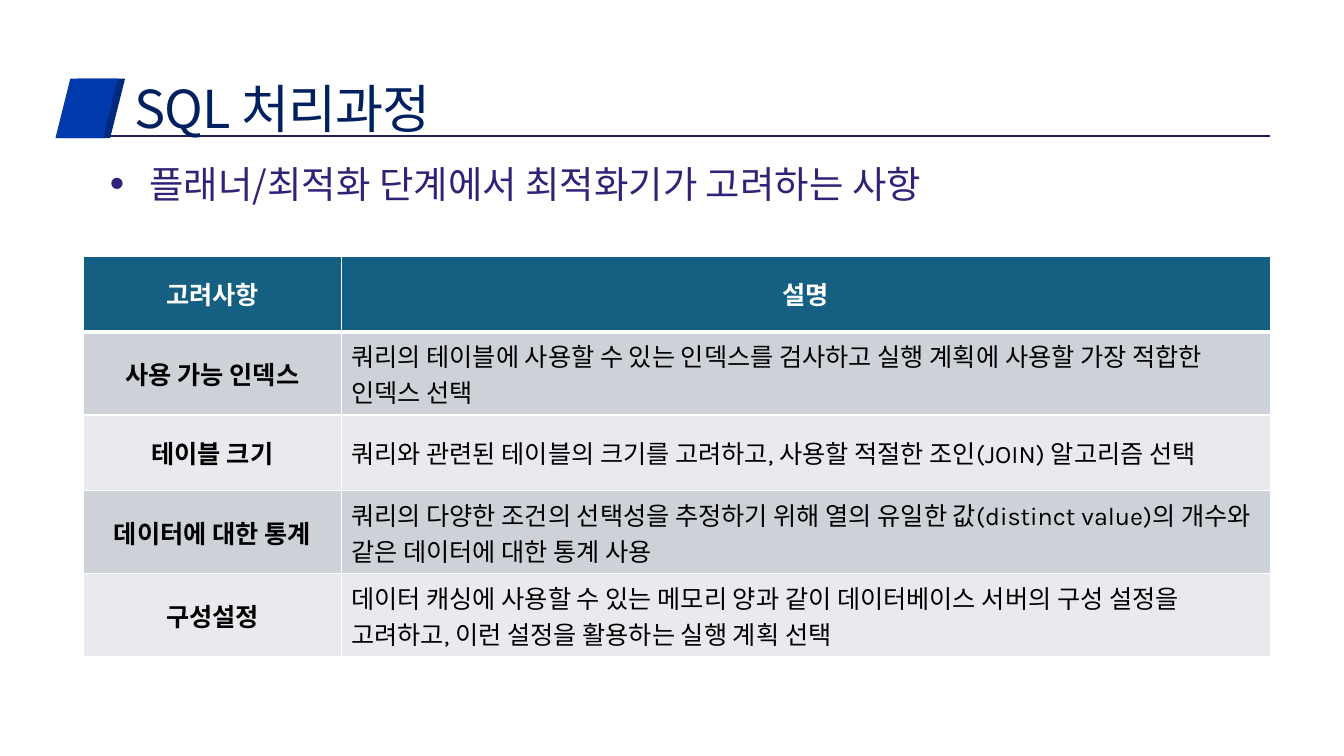
from dataclasses import dataclass

from lxml import etree
from pptx import Presentation
from pptx.dml.color import RGBColor
from pptx.enum.shapes import MSO_CONNECTOR, MSO_SHAPE
from pptx.enum.text import MSO_ANCHOR, MSO_AUTO_SIZE, PP_ALIGN
from pptx.oxml.ns import qn
from pptx.util import Inches, Pt

LEFT, CENTER = PP_ALIGN.LEFT, PP_ALIGN.CENTER
TOP, MIDDLE = MSO_ANCHOR.TOP, MSO_ANCHOR.MIDDLE
STRAIGHT, PARALLELOGRAM = MSO_CONNECTOR.STRAIGHT, MSO_SHAPE.PARALLELOGRAM
NO_AUTOFIT = MSO_AUTO_SIZE.NONE


@dataclass(frozen=True)
class Theme:
    korean_font: str = "Noto Sans CJK KR"
    table_font: str = "Karla"
    title_size: float = 37.3
    bullet_size: float = 26.7
    table_size: float = 18
    title: str = "002060"
    bullet: str = "2F2378"
    rule: str = "241E59"
    slants: tuple = ("002A7E", "0039AC")
    header: str = "156082"
    bands: tuple = ("CCD2D8", "E8EAED")
    white: str = "FFFFFF"
    black: str = "000000"


@dataclass(frozen=True)
class Box:
    """A region of the slide, in inches."""
    left: float
    top: float
    width: float
    height: float

    def emu(self):
        return [Inches(value) for value in (self.left, self.top, self.width, self.height)]


THEME = Theme()
SLIDE_WIDTH, SLIDE_HEIGHT = 13.33, 7.5
RIGHT_EDGE = 12.6
HEADING_BOX = Box(0.55, 0.77, RIGHT_EDGE - 0.55, 0.59)
BULLET_BOX = Box(1.01, 1.56, RIGHT_EDGE - 1.01, 0.78)
TABLE_BOX = Box(0.83, 2.54, RIGHT_EDGE - 0.83, 3.76)
LABEL_SHARE = 0.217

ROWS = [
    ("고려사항", "설명"),
    ("사용 가능 인덱스", "쿼리의 테이블에 사용할 수 있는 인덱스를 검사하고 실행 계획에 사용할 가장 적합한 인덱스 선택"),
    ("테이블 크기", "쿼리와 관련된 테이블의 크기를 고려하고, 사용할 적절한 조인(JOIN) 알고리즘 선택"),
    ("데이터에 대한 통계", "쿼리의 다양한 조건의 선택성을 추정하기 위해 열의 유일한 값(distinct value)의 개수와 같은 데이터에 대한 통계 사용"),
    ("구성설정", "데이터 캐싱에 사용할 수 있는 메모리 양과 같이 데이터베이스 서버의 구성 설정을 고려하고, 이런 설정을 활용하는 실행 계획 선택"),
]


def set_all(target, values):
    for name, value in values.items():
        setattr(target, name, value)


def add_child(parent, tag, **attributes):
    return etree.SubElement(parent, qn(tag), attributes)


def add_run(paragraph, text, size, color, latin=THEME.korean_font, bold=False):
    run = paragraph.add_run()
    run.text = text
    set_all(run.font, {"size": Pt(size), "name": latin, "bold": bold})
    run.font.color.rgb = RGBColor.from_string(color)
    properties = run._r.get_or_add_rPr()
    add_child(properties, "a:ea", typeface=THEME.korean_font)
    return properties


def prepare_placeholder(placeholder, box, anchor, top_inset):
    """Move a placeholder into its box and return its first paragraph."""
    left, top, width, height = box.emu()
    set_all(placeholder, {"left": left, "top": top, "width": width, "height": height})
    frame = placeholder.text_frame
    set_all(frame, {
        "word_wrap": True, "auto_size": NO_AUTOFIT, "vertical_anchor": anchor,
        "margin_left": Inches(0.08), "margin_right": Inches(0.08),
        "margin_top": Inches(top_inset), "margin_bottom": 0,
    })
    paragraph = frame.paragraphs[0]
    set_all(paragraph, {"alignment": LEFT, "space_before": Pt(0)})
    return paragraph


def add_heading(slide, box, text):
    """Title with two slanted tiles on its left and a rule below, all behind the text."""
    title = slide.shapes.title
    base = box.top + box.height - 0.01
    rule = slide.shapes.add_connector(
        STRAIGHT, Inches(box.left + 0.23), Inches(base),
        Inches(box.left + box.width), Inches(base))
    rule.line.width = Pt(1.5)
    rule.line.color.rgb = RGBColor.from_string(THEME.rule)
    add_child(rule._element.spPr, "a:effectLst")
    title._element.addprevious(rule._element)

    for color, shift in zip(THEME.slants, (0.07, 0)):
        tile_box = Box(box.left + shift, box.top + 0.01, 0.62, box.height)
        tile = slide.shapes.add_shape(PARALLELOGRAM, *tile_box.emu())
        tile.shadow.inherit = False
        tile.fill.solid()
        tile.fill.fore_color.rgb = RGBColor.from_string(color)
        tile.line.fill.background()
        title._element.addprevious(tile._element)

    text_box = Box(box.left + 0.7, box.top, box.width - 0.7, box.height)
    paragraph = prepare_placeholder(title, text_box, MIDDLE, 0.08)
    paragraph.line_spacing = 0.9
    add_run(paragraph, text, THEME.title_size, THEME.title).set("spc", "-70")


def add_bullet(slide, box, text):
    paragraph = prepare_placeholder(slide.placeholders[1], box, TOP, 0.04)
    properties = paragraph._p.get_or_add_pPr()
    indent = Inches(0.39)
    properties.set("marL", str(indent))
    properties.set("indent", str(-indent))
    add_child(properties, "a:buSzPct", val="110000")
    add_child(properties, "a:buFont", typeface="Arial")
    add_child(properties, "a:buChar", char="•")
    add_run(paragraph, text, THEME.bullet_size, THEME.bullet)


def set_borders(cell, top_width, bottom_width):
    properties = cell._tc.get_or_add_tcPr()
    widths = {"a:lnL": 1, "a:lnR": 1, "a:lnT": top_width, "a:lnB": bottom_width}
    for tag, width in widths.items():
        line = add_child(properties, tag, w=str(Pt(width)))
        add_child(add_child(line, "a:solidFill"), "a:srgbClr", val=THEME.white)


def add_considerations(slide, box, rows):
    table = slide.shapes.add_table(len(rows), 2, *box.emu()).table
    for column, share in zip(table.columns, (LABEL_SHARE, 1 - LABEL_SHARE)):
        column.width = Inches(box.width * share)
    for row_index, texts in enumerate(rows):
        is_header = row_index == 0
        fill = THEME.header if is_header else THEME.bands[(row_index - 1) % 2]
        color = THEME.white if is_header else THEME.black
        for column_index, text in enumerate(texts):
            is_label = is_header or column_index == 0
            cell = table.cell(row_index, column_index)
            cell.vertical_anchor = MIDDLE
            set_borders(cell, 3 if row_index == 1 else 1, 3 if is_header else 1)
            cell.fill.solid()
            cell.fill.fore_color.rgb = RGBColor.from_string(fill)
            paragraph = cell.text_frame.paragraphs[0]
            paragraph.alignment = CENTER if is_label else LEFT
            add_run(paragraph, text, THEME.table_size, color, THEME.table_font, is_label)


def main():
    presentation = Presentation()
    set_all(presentation, {"slide_width": Inches(SLIDE_WIDTH), "slide_height": Inches(SLIDE_HEIGHT)})
    slide = presentation.slides.add_slide(presentation.slide_layouts[1])
    add_heading(slide, HEADING_BOX, "SQL 처리과정")
    add_bullet(slide, BULLET_BOX, "플래너/최적화 단계에서 최적화기가 고려하는 사항")
    add_considerations(slide, TABLE_BOX, ROWS)
    presentation.save("out.pptx")


if __name__ == "__main__":
    main()
